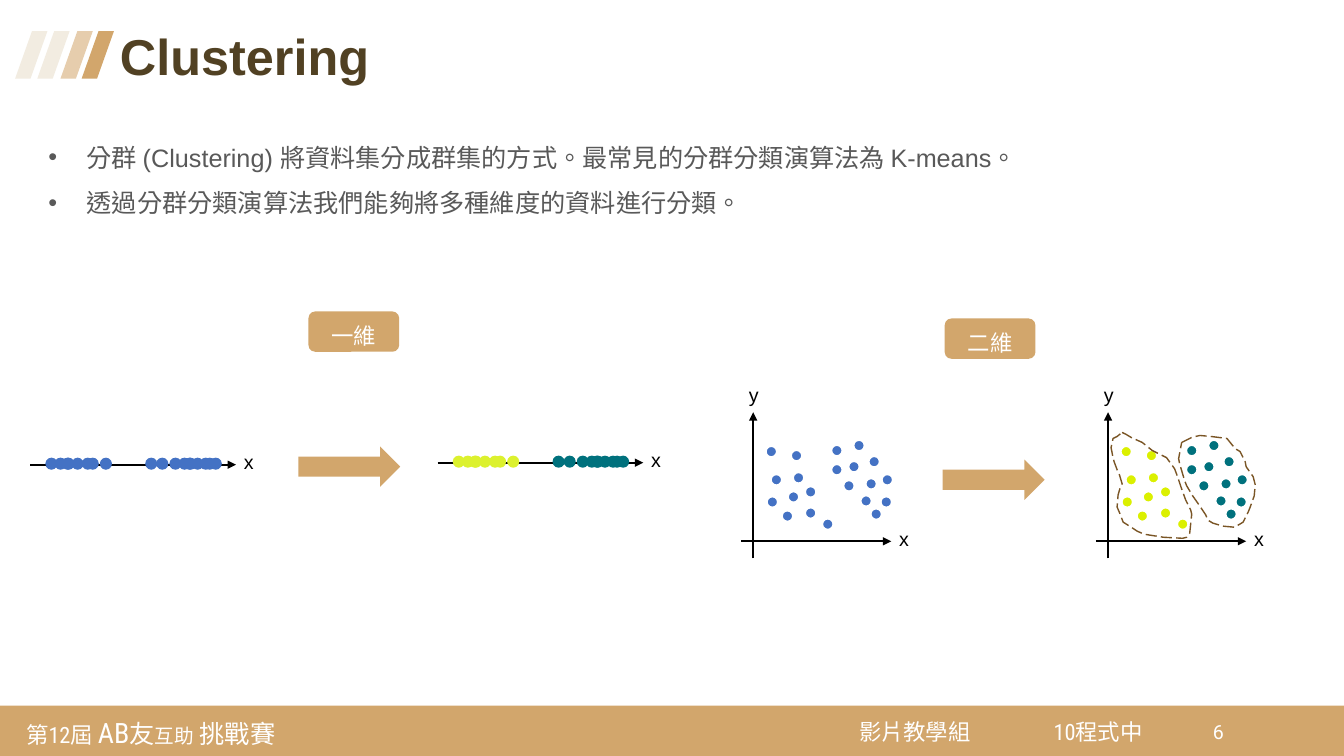
from lxml import etree
from pptx import Presentation
from pptx.dml.color import RGBColor
from pptx.enum.dml import MSO_LINE
from pptx.enum.lang import MSO_LANGUAGE_ID
from pptx.enum.shapes import MSO_CONNECTOR, MSO_SHAPE
from pptx.enum.text import MSO_ANCHOR, MSO_AUTO_SIZE, PP_ALIGN
from pptx.oxml.ns import qn
from pptx.util import Inches, Pt

RECT, ROUND = MSO_SHAPE.RECTANGLE, MSO_SHAPE.ROUNDED_RECTANGLE
OVAL, ARROW, SLANT = MSO_SHAPE.OVAL, MSO_SHAPE.RIGHT_ARROW, MSO_SHAPE.PARALLELOGRAM
STRAIGHT, LONG_DASH = MSO_CONNECTOR.STRAIGHT, MSO_LINE.LONG_DASH
TOP, MIDDLE = MSO_ANCHOR.TOP, MSO_ANCHOR.MIDDLE
LEFT, CENTER = PP_ALIGN.LEFT, PP_ALIGN.CENTER
NO_FIT, ZH_TW = MSO_AUTO_SIZE.NONE, MSO_LANGUAGE_ID.TRADITIONAL_CHINESE

CJK = "Noto Sans CJK SC"
COLORS = {
    "tan": "D2A66C", "sand": "E6CDAD", "cream": "F2ECE1", "title": "514123",
    "body": "595959", "black": "000000", "white": "FFFFFF", "blue": "4472C4",
    "teal": "00717D", "lime": "DBF000", "soft_lime": "DCF12E", "outline": "7A5525",
}
TITLE = "Clustering"
BULLETS = [
    "分群 (Clustering) 將資料集分成群集的方式。最常見的分群分類演算法為 K-means。",
    "透過分群分類演算法我們能夠將多種維度的資料進行分類。",
]
FOOTERS = [
    ((0.18, 7.02, 3.6, 0.49),
     [("第12屆 ", 16), ("AB", 20), ("友", 18), ("互助", 14), (" 挑戰賽", 18)]),
    ((8.44, 7.04, 1.33, 0.43), [("影片教學組", 16)]),
    ((10.37, 7.04, 1.33, 0.43), [("10程式中", 16)]),
]
STRIPES = [(0.81, "tan"), (0.6, "sand"), (0.37, "cream"), (0.15, "cream")]
BADGES = [("一維", 3.06, 3.09), ("二維", 9.37, 3.16)]
ARROWS = [(2.96, 4.43), (9.35, 4.56)]

LINE_LOW = [0.15, 0.24, 0.31, 0.32, 0.41, 0.51, 0.56, 0.69]
LINE_HIGH = [1.14, 1.25, 1.38, 1.47, 1.52, 1.53, 1.6, 1.68, 1.72, 1.78]
LINES = [(0.3, 4.61, "blue", "blue"), (4.34, 4.59, "soft_lime", "teal")]

PLANE_LEFT = [
    (0.17, 0.61), (0.34, 0.78), (0.51, 0.94), (0.28, 0.97), (0.13, 0.83),
    (0.39, 0.59), (0.51, 0.73), (0.37, 0.37), (0.68, 1.05), (0.12, 0.33),
]
PLANE_RIGHT = [
    (0.77, 0.32), (0.94, 0.48), (0.99, 0.27), (1.14, 0.43), (1.11, 0.65), (0.77, 0.51),
    (0.89, 0.67), (1.27, 0.61), (1.06, 0.82), (1.26, 0.83), (1.16, 0.95),
]
PLANES = [(7.47, "blue", "blue"), (10.99, "lime", "teal")]
PLANE_TOP = 4.09
DOT = 0.12

CLUSTER_OUTLINES = [
    [(11.13, 4.29), (11.17, 4.31), (11.22, 4.34), (11.33, 4.39), (11.43, 4.47), (11.51, 4.51),
     (11.57, 4.54), (11.65, 4.65), (11.68, 4.73), (11.72, 4.85), (11.76, 4.96), (11.81, 5.06),
     (11.82, 5.1), (11.8, 5.29), (11.77, 5.33), (11.73, 5.34), (11.54, 5.33), (11.35, 5.3),
     (11.28, 5.27), (11.22, 5.23), (11.14, 5.18), (11.11, 5.1), (11.08, 5.03), (11.09, 4.91),
     (11.11, 4.84), (11.13, 4.8), (11.1, 4.7), (11.08, 4.66), (11.05, 4.58), (11.04, 4.54),
     (11.02, 4.44), (11.04, 4.35), (11.08, 4.33)],
    [(11.72, 4.39), (11.82, 4.34), (11.9, 4.32), (12.01, 4.33), (12.17, 4.35), (12.25, 4.45),
     (12.3, 4.48), (12.35, 4.58), (12.36, 4.63), (12.43, 4.73), (12.45, 4.81), (12.44, 4.92),
     (12.4, 5.03), (12.38, 5.08), (12.33, 5.18), (12.28, 5.21), (12.24, 5.23), (12.13, 5.22),
     (12.03, 5.19), (11.98, 5.16), (11.96, 5.11), (11.9, 5.02), (11.83, 4.92), (11.77, 4.82),
     (11.75, 4.77), (11.7, 4.6), (11.69, 4.55)],
]


def rgb(name):
    return RGBColor.from_string(COLORS[name])


def add_run(p, text, size, color, font="Arial", bold=False):
    r = p.add_run()
    r.text = text
    r.font.size, r.font.bold, r.font.name = Pt(size), bold, font
    r.font.color.rgb = rgb(color)
    r.font.language_id = ZH_TW
    etree.SubElement(r._r.get_or_add_rPr(), qn("a:ea"), typeface=CJK)


def place(sp, box):
    sp.left, sp.top, sp.width, sp.height = map(Inches, box)


def add_text(s, box, runs, color="black", font="Arial", anchor=TOP, inset=None, wrap=False):
    tf = s.shapes.add_textbox(*map(Inches, box)).text_frame
    tf.word_wrap, tf.vertical_anchor = wrap, anchor
    if inset is not None:
        tf.margin_left = tf.margin_right = tf.margin_top = tf.margin_bottom = Inches(inset)
    for text, size in runs:
        add_run(tf.paragraphs[0], text, size, color, font)


def add_filled(s, kind, box, color, border=None):
    sp = s.shapes.add_shape(kind, *map(Inches, box))
    sp.shadow.inherit = False
    sp.fill.solid()
    sp.fill.fore_color.rgb = rgb(color)
    if border:
        sp.line.color.rgb, sp.line.width = rgb(border), Pt(2)
    else:
        sp.line.fill.background()
    return sp


def add_axis(s, x1, y1, x2, y2):
    line = s.shapes.add_connector(STRAIGHT, *map(Inches, (x1, y1, x2, y2)))
    line.line.color.rgb, line.line.width = rgb("black"), Pt(1.25)
    etree.SubElement(line.line._get_or_add_ln(), qn("a:tailEnd"), type="triangle")
    etree.SubElement(line._element.spPr, qn("a:effectLst"))


def add_outline(s, points):
    points = [(Inches(x), Inches(y)) for x, y in points]
    builder = s.shapes.build_freeform(*points[0])
    builder.add_line_segments(points[1:], close=True)
    sp = builder.convert_to_shape()
    sp.shadow.inherit = False
    sp.fill.background()
    sp.line.color.rgb, sp.line.width = rgb("outline"), Pt(1)
    sp.line.dash_style = LONG_DASH


def add_heading(s):
    title, body = s.shapes.title, s.placeholders[1]
    place(title, (1.09, 0.27, 10.19, 0.65))
    place(body, (0.38, 1.21, 9.92, 1.45))
    for sp in (title, body):
        tf = sp.text_frame
        tf.word_wrap, tf.auto_size, tf.vertical_anchor = True, NO_FIT, TOP
    p = title.text_frame.paragraphs[0]
    p.alignment, p.line_spacing, p.space_before = LEFT, 0.9, Pt(0)
    add_run(p, TITLE, 36, "title", bold=True)
    tf = body.text_frame
    for i, text in enumerate(BULLETS):
        p = tf.add_paragraph() if i else tf.paragraphs[0]
        p.line_spacing, p.space_before = 1.5, Pt(0)
        pPr = p._p.get_or_add_pPr()
        pPr.set("marL", str(Inches(0.38)))
        pPr.set("indent", str(-Inches(0.38)))
        etree.SubElement(pPr, qn("a:buFont"), typeface="Arial")
        etree.SubElement(pPr, qn("a:buChar"), char="•")
        add_run(p, text, 18, "body")


def main():
    prs = Presentation()
    prs.slide_width, prs.slide_height = Inches(13.33), Inches(7.5)
    s = prs.slides.add_slide(prs.slide_layouts[1])
    add_filled(s, RECT, (0, 7, 13.33, 0.5), "tan")
    for box, runs in FOOTERS:
        add_text(s, box, runs, "white", "Roboto Condensed", MIDDLE, 0.08, wrap=True)
    add_text(s, (11.93, 7.09, 0.42, 0.41), [("6", 14)], "white", "Roboto")
    for x, color in STRIPES:
        add_filled(s, SLANT, (x, 0.31, 0.32, 0.47), color).adjustments[0] = 0.522
    add_heading(s)

    for x, y, low, high in LINES:
        add_axis(s, x, y, x + 2.04, y)
        add_text(s, (x + 2.02, y - 0.2, 0.3, 0.34), [("x", 14)])
        for offsets, color in ((LINE_LOW, low), (LINE_HIGH, high)):
            for dx in offsets:
                add_filled(s, OVAL, (x + dx, y - 0.07, DOT, DOT), color)

    for x, left, right in PLANES:
        base = PLANE_TOP + 1.28
        add_axis(s, x, PLANE_TOP + 1.45, x, PLANE_TOP)
        add_axis(s, x - 0.12, base, x + 1.37, base)
        add_text(s, (x + 1.35, base - 0.19, 0.3, 0.34), [("x", 14)])
        add_text(s, (x - 0.14, PLANE_TOP - 0.34, 0.3, 0.34), [("y", 14)])
        for points, color in ((PLANE_LEFT, left), (PLANE_RIGHT, right)):
            for dx, dy in points:
                add_filled(s, OVAL, (x + dx, PLANE_TOP + dy, DOT, DOT), color, "white")
    for points in CLUSTER_OUTLINES:
        add_outline(s, points)

    for x, y in ARROWS:
        add_filled(s, ARROW, (x, y, 1.01, 0.4), "tan")
    for text, x, y in BADGES:
        tf = add_filled(s, ROUND, (x, y, 0.9, 0.4), "tan").text_frame
        tf.vertical_anchor = MIDDLE
        p = tf.paragraphs[0]
        p.alignment, p.line_spacing = CENTER, 1.3
        add_run(p, text, 16, "white", CJK)
    prs.save("out.pptx")


if __name__ == "__main__":
    main()
